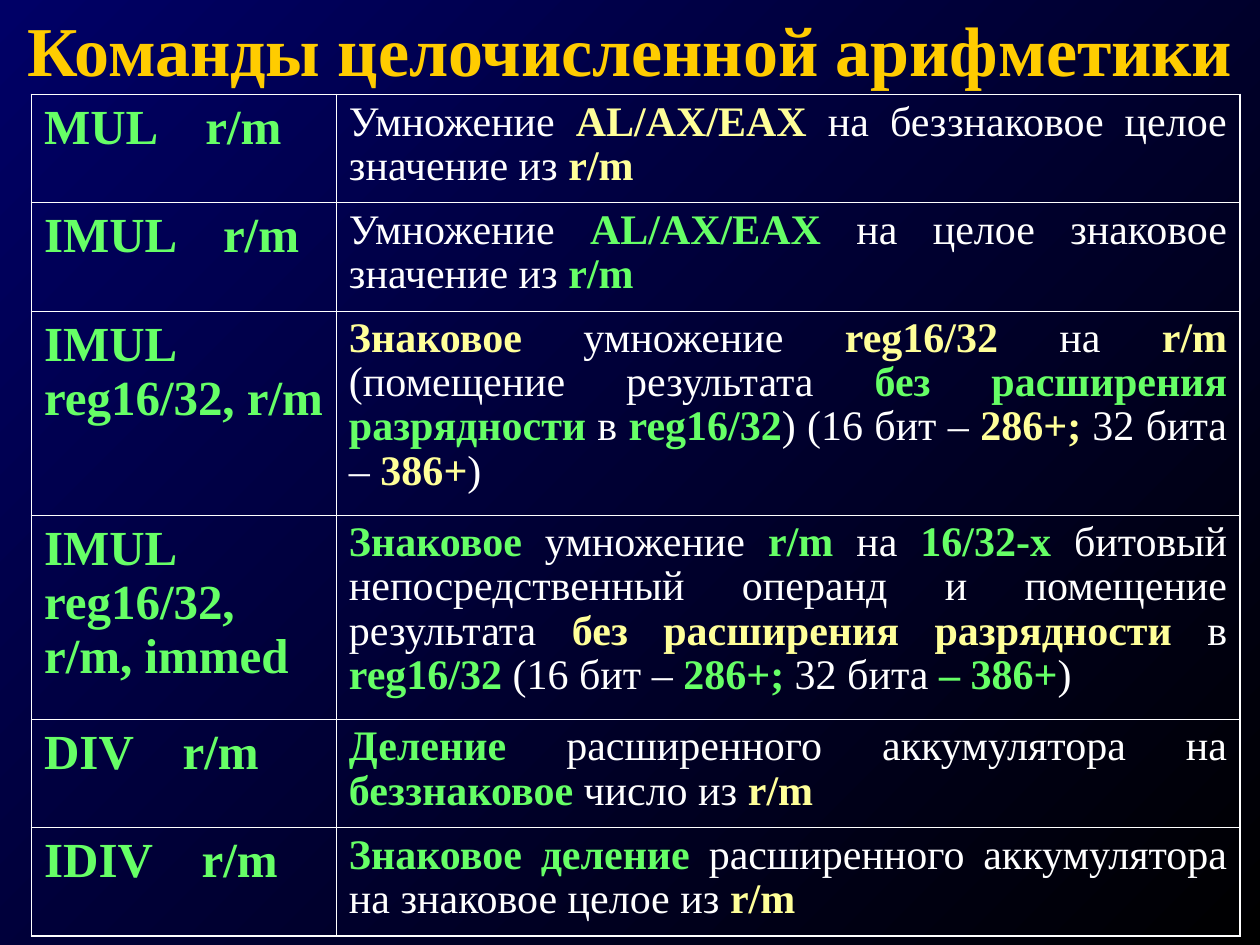
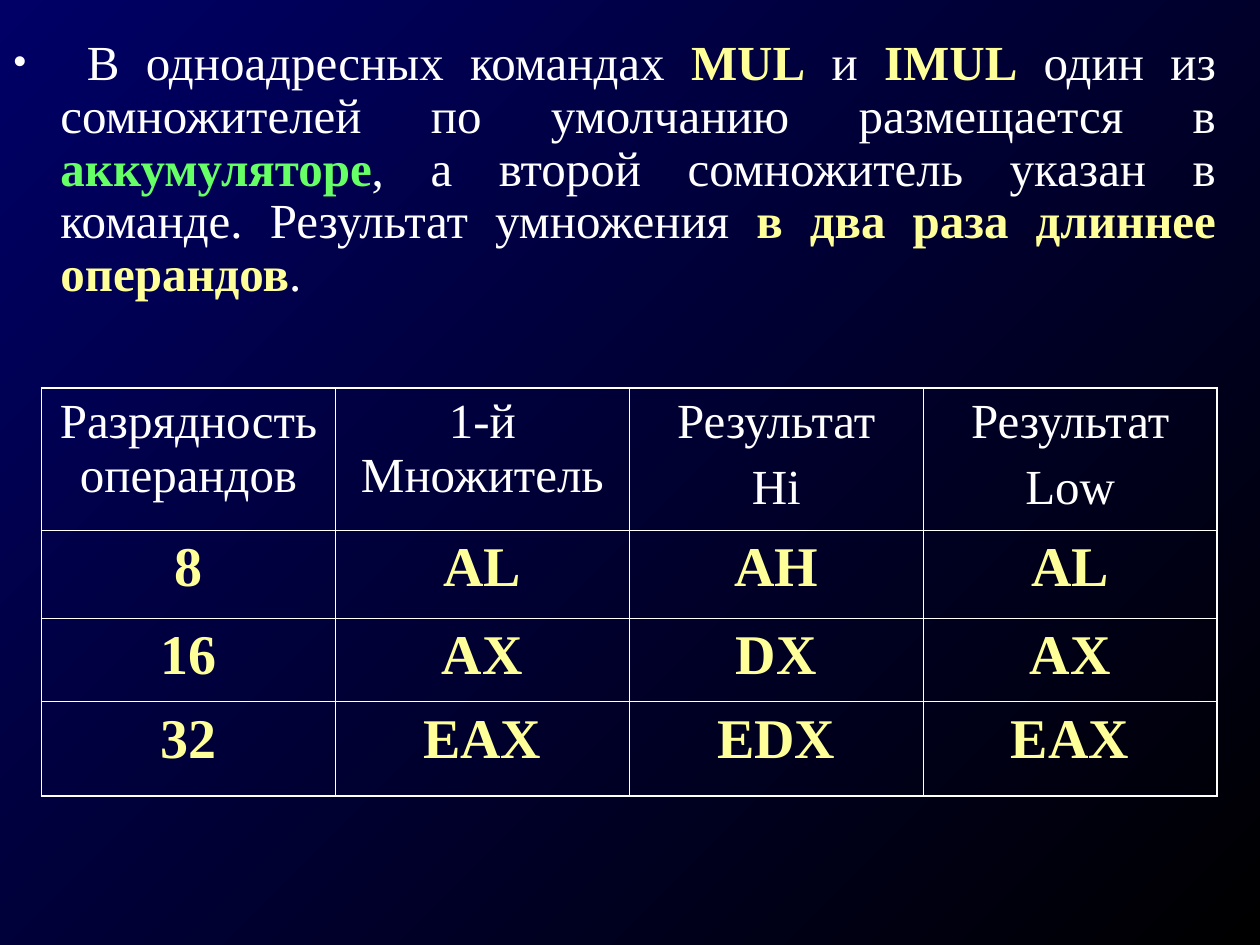
from dataclasses import dataclass
from typing import Optional

import lxml.etree
import pptx
import pptx.dml.color
import pptx.enum.text
import pptx.oxml.ns
import pptx.util

Inches = pptx.util.Inches
Align = pptx.enum.text.PP_ALIGN
qn = pptx.oxml.ns.qn


@dataclass(frozen=True)
class Theme:
    font: str = "Times New Roman"
    background_start: str = "000066"
    background_end: str = "000000"
    title: str = "FFCC00"
    text: str = "FFFFFF"
    green: str = "66FF66"
    yellow: str = "FFFF99"
    title_size: int = 40
    register_size: int = 32
    body_size: int = 28
    description_size: int = 24
    outer_border: float = 1.08
    inner_border: float = 0.45


THEME = Theme()
MARKS = {"#": THEME.green, "*": THEME.yellow}


@dataclass(frozen=True)
class Box:
    left: float
    top: float
    width: float
    height: float

    def lengths(self) -> tuple:
        return tuple(Inches(value) for value in (self.left, self.top, self.width, self.height))


@dataclass(frozen=True)
class Command:
    syntax: str
    description: str
    height: float
    operand_tab: Optional[float] = None
    align: Align = Align.LEFT


@dataclass(frozen=True)
class ResultRow:
    cells: tuple
    height: float
    size: int = THEME.register_size
    color: str = THEME.yellow
    bold: bool = True
    space_before: int = 8


COMMANDS = (
    Command("MUL\tr/m", "Умножение |*AL/AX/EAX| на беззнаковое целое значение из |*r/m", 0.86, 1.28),
    Command("IMUL\tr/m", "Умножение |#AL/AX/EAX| на целое знаковое значение из |#r/m", 0.86, 1.42),
    Command(
        "IMUL reg16/32, r/m",
        "*Знаковое| умножение |*reg16/32| на |*r/m| (помещение результата "
        "|#без расширения разрядности| в |#reg16/32|) (16 бит – |*286+;| 32 бита – |*386+|)",
        1.62,
    ),
    Command(
        "IMUL reg16/32, r/m, immed",
        "#Знаковое| умножение |#r/m| на |#16/32-х| битовый непосредственный операнд и помещение "
        "результата |*без расширения разрядности| в |#reg16/32| (16 бит – |#286+;| 32 бита |#– 386+|)",
        1.62,
        align=Align.JUSTIFY,
    ),
    Command("DIV\tr/m", "#Деление| расширенного аккумулятора на |#беззнаковое| число из |*r/m", 0.86, 1.1),
    Command("IDIV\tr/m", "#Знаковое деление| расширенного аккумулятора на знаковое целое из |*r/m", 0.86, 1.25),
)

RESULTS = (
    ResultRow(
        ("Разрядность операндов", "1-й Множитель", "Результат\nHi", "Результат\nLow"),
        1.13, THEME.body_size, THEME.text, False, 7,
    ),
    ResultRow(("8", "AL", "AH", "AL"), 0.7),
    ResultRow(("16", "AX", "DX", "AX"), 0.66),
    ResultRow(("32", "EAX", "EDX", "EAX"), 0.75),
)

MULTIPLICATION_NOTE = (
    " В одноадресных командах |*MUL| и |*IMUL| один из сомножителей по умолчанию размещается в "
    "|#аккумуляторе|, а второй сомножитель указан в команде. Результат умножения "
    "|*в два раза длиннее операндов|."
)


def rgb(value: str) -> pptx.dml.color.RGBColor:
    return pptx.dml.color.RGBColor.from_string(value)


def write_text(text_frame, text: str, *, size: int, color: str = THEME.text, bold: bool = False,
               align: Align = Align.LEFT, line_spacing: float = 1.0, space_before: int = 0,
               tab: Optional[float] = None) -> None:
    text_frame.word_wrap = True
    for index, line in enumerate(text.split("\n")):
        paragraph = text_frame.add_paragraph() if index else text_frame.paragraphs[0]
        paragraph.alignment = align
        paragraph.line_spacing = line_spacing
        paragraph.space_before = pptx.util.Pt(space_before)
        if tab is not None:
            tabs = lxml.etree.SubElement(paragraph._p.get_or_add_pPr(), qn("a:tabLst"))
            lxml.etree.SubElement(tabs, qn("a:tab"), pos=str(Inches(tab)), algn="l")
        for part in line.split("|"):
            marked = part[:1] in MARKS
            run = paragraph.add_run()
            run.text = part[1:] if marked else part
            run.font.name = THEME.font
            run.font.size = pptx.util.Pt(size)
            run.font.bold = bold or marked
            run.font.color.rgb = rgb(MARKS[part[0]] if marked else color)


def add_bullet(paragraph, indent: float) -> None:
    properties = paragraph._p.get_or_add_pPr()
    properties.set("marL", str(Inches(indent)))
    properties.set("indent", str(-Inches(indent)))
    bullet_color = lxml.etree.SubElement(properties, qn("a:buClr"))
    lxml.etree.SubElement(bullet_color, qn("a:srgbClr"), val=THEME.text)
    lxml.etree.SubElement(properties, qn("a:buSzPct"), val="85000")
    lxml.etree.SubElement(properties, qn("a:buFont"), typeface=THEME.font)
    lxml.etree.SubElement(properties, qn("a:buChar"), char="•")


def place(placeholder, box: Box, anchor) -> None:
    placeholder.left, placeholder.top, placeholder.width, placeholder.height = box.lengths()
    placeholder.text_frame.auto_size = pptx.enum.text.MSO_AUTO_SIZE.NONE
    placeholder.text_frame.vertical_anchor = anchor


def set_borders(cell, outer_sides: dict) -> None:
    properties = cell._tc.get_or_add_tcPr()
    for side, is_outer in outer_sides.items():
        width = THEME.outer_border if is_outer else THEME.inner_border
        line = lxml.etree.SubElement(properties, qn(f"a:ln{side}"), w=str(pptx.util.Pt(width)))
        fill = lxml.etree.SubElement(line, qn("a:solidFill"))
        lxml.etree.SubElement(fill, qn("a:srgbClr"), val=THEME.text)


def add_grid(slide, box: Box, widths: list, heights: list):
    table = slide.shapes.add_table(len(heights), len(widths), *box.lengths()).table
    table.first_row = table.horz_banding = False
    for column, width in zip(table.columns, widths):
        column.width = Inches(width)
    for row_index, height in enumerate(heights):
        table.rows[row_index].height = Inches(height)
        for column_index in range(len(widths)):
            cell = table.cell(row_index, column_index)
            set_borders(cell, {
                "L": column_index == 0,
                "R": column_index == len(widths) - 1,
                "T": row_index == 0,
                "B": row_index == len(heights) - 1,
            })
            cell.fill.background()
    return table


def set_background(presentation) -> None:
    fill = presentation.slide_master.background.fill
    fill.gradient()
    fill.gradient_angle = 315
    for stop, color in zip(fill.gradient_stops, (THEME.background_start, THEME.background_end)):
        stop.color.rgb = rgb(color)


def add_commands_slide(presentation) -> None:
    slide = presentation.slides.add_slide(presentation.slide_layouts[5])
    title = slide.shapes.title
    place(title, Box(0, 0, 10, 0.77), pptx.enum.text.MSO_ANCHOR.MIDDLE)
    write_text(title.text_frame, "Команды целочисленной арифметики", size=THEME.title_size,
               color=THEME.title, bold=True, align=Align.CENTER)
    table = add_grid(slide, Box(0.25, 0.75, 9.59, 6.68), [2.42, 7.17],
                     [command.height for command in COMMANDS])
    for row_index, command in enumerate(COMMANDS):
        write_text(table.cell(row_index, 0).text_frame, command.syntax, size=THEME.body_size,
                   color=THEME.green, bold=True, align=command.align, space_before=7,
                   tab=command.operand_tab)
        write_text(table.cell(row_index, 1).text_frame, command.description,
                   size=THEME.description_size, align=Align.JUSTIFY, line_spacing=0.95)


def add_results_slide(presentation) -> None:
    slide = presentation.slides.add_slide(presentation.slide_layouts[1])
    title = slide.shapes.title
    title.element.getparent().remove(title.element)
    body = slide.placeholders[1]
    place(body, Box(0, 0.25, 9.75, 2.42), pptx.enum.text.MSO_ANCHOR.TOP)
    write_text(body.text_frame, MULTIPLICATION_NOTE, size=THEME.body_size,
               align=Align.JUSTIFY, line_spacing=0.9, space_before=7)
    add_bullet(body.text_frame.paragraphs[0], 0.38)
    columns = len(RESULTS[0].cells)
    width = 9.33
    table = add_grid(slide, Box(0.33, 3.08, width, 3.24), [width / columns] * columns,
                     [row.height for row in RESULTS])
    for row_index, row in enumerate(RESULTS):
        for column_index, text in enumerate(row.cells):
            write_text(table.cell(row_index, column_index).text_frame, text, size=row.size,
                       color=row.color, bold=row.bold, align=Align.CENTER,
                       space_before=row.space_before)


def main() -> None:
    presentation = pptx.Presentation()
    presentation.slide_width, presentation.slide_height = Inches(10), Inches(7.5)
    set_background(presentation)
    add_commands_slide(presentation)
    add_results_slide(presentation)
    presentation.save("out.pptx")


if __name__ == "__main__":
    main()
